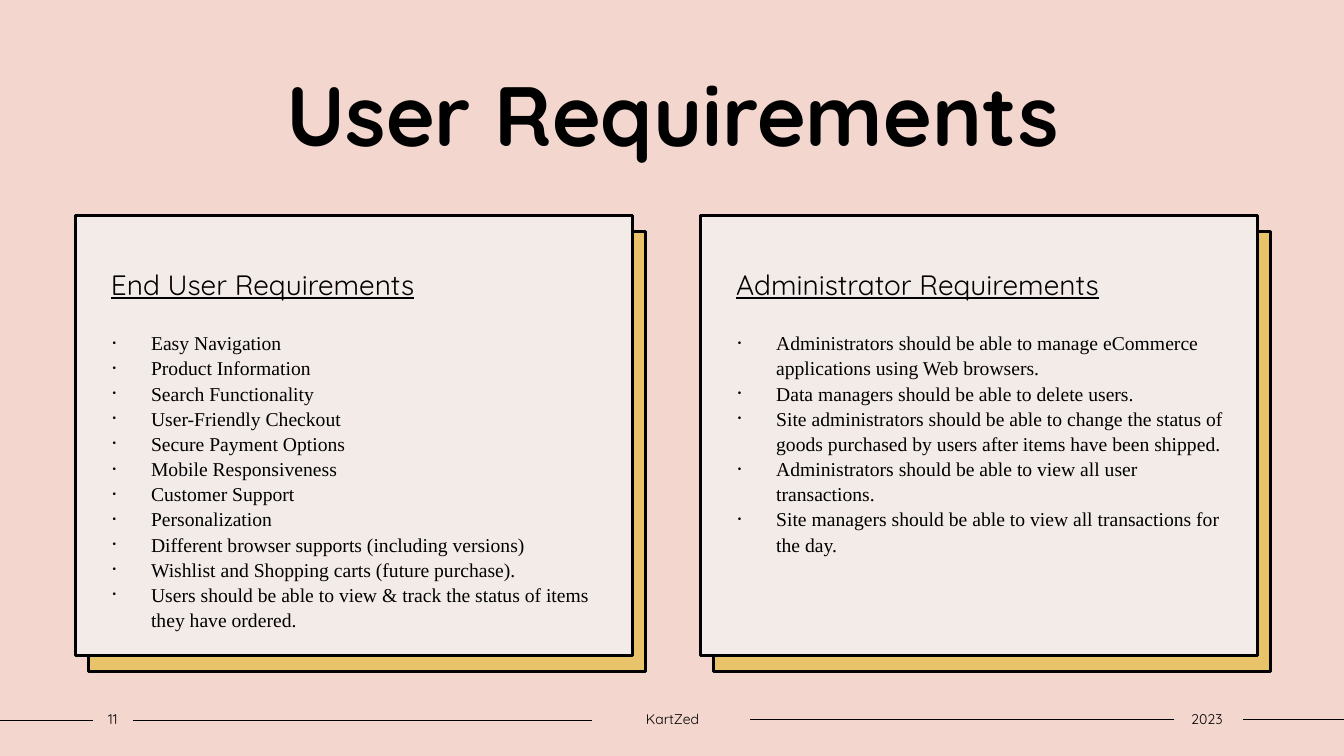
from lxml.etree import SubElement
from pptx import Presentation
from pptx.dml.color import RGBColor
from pptx.enum.shapes import MSO_CONNECTOR, MSO_SHAPE
from pptx.enum.text import MSO_ANCHOR, PP_ALIGN
from pptx.oxml.ns import qn
from pptx.util import Inches, Pt

PINK = RGBColor(0xF3, 0xD6, 0xCD)
CREAM = RGBColor(0xF3, 0xEB, 0xE8)
GOLD = RGBColor(0xE9, 0xC3, 0x69)
BLACK = RGBColor(0, 0, 0)

HEADING_FONT = "Quicksand"
BODY_FONT = "Times New Roman"

CARD_TOP, CARD_WIDTH, CARD_HEIGHT = 2.14, 5.52, 4.36
CARDS = [
    (0.75, "End User Requirements", [
        "Easy Navigation",
        "Product Information",
        "Search Functionality",
        "User-Friendly Checkout",
        "Secure Payment Options",
        "Mobile Responsiveness",
        "Customer Support",
        "Personalization",
        "Different browser supports (including versions)",
        "Wishlist and Shopping carts (future purchase).",
        "Users should be able to view & track the status of items they have ordered.",
    ]),
    (6.95, "Administrator Requirements", [
        "Administrators should be able to manage eCommerce applications using Web browsers.",
        "Data managers should be able to delete users.",
        "Site administrators should be able to change the status of goods purchased "
        "by users after items have been shipped.",
        "Administrators should be able to view all user transactions.",
        "Site managers should be able to view all transactions for the day.",
    ]),
]
FOOTER_RULES = [(0, 0.92, 0.15), (1.32, 5.87, 0.15), (7.44, 11.64, 0.14), (12.33, 13.33, 0.14)]
FOOTER_LABELS = [("11", 0.92, 0.4), ("KartZed", 5.87, 1.6), ("2023", 11.62, 0.7)]


def set_attributes(target, values):
    """Set every attribute in a dict of format values."""
    for name, value in values.items():
        setattr(target, name, value)


def write(paragraph, text, font_name, size, **extra):
    """Put black text in a paragraph."""
    run = paragraph.add_run()
    run.text = text
    set_attributes(run.font, {"name": font_name, "size": Pt(size), **extra})
    run.font.color.rgb = BLACK


def add_text_frame(slide, left, top, width, height, **values):
    """Add a wrapping text box and return its frame."""
    box = slide.shapes.add_textbox(Inches(left), Inches(top), Inches(width), Inches(height))
    set_attributes(box.text_frame, {"word_wrap": True, **values})
    return box.text_frame


def add_panel(slide, left, top, width, height, fill):
    """Add a filled rectangle with a black outline."""
    panel = slide.shapes.add_shape(
        MSO_SHAPE.RECTANGLE, Inches(left), Inches(top), Inches(width), Inches(height))
    panel.shadow.inherit = False
    panel.fill.solid()
    panel.fill.fore_color.rgb = fill
    panel.line.color.rgb = BLACK
    panel.line.width = Pt(2)
    return panel


def add_bullet(paragraph):
    """Give a paragraph a small hanging bullet and a tab stop."""
    properties = paragraph._p.get_or_add_pPr()
    properties.set("marL", str(Inches(0.38)))
    properties.set("indent", str(-Inches(0.38)))
    SubElement(properties, qn("a:buSzPct"), val="50000")
    SubElement(properties, qn("a:buFont"), typeface="Arial")
    SubElement(properties, qn("a:buChar"), char="•")
    tabs = SubElement(properties, qn("a:tabLst"))
    SubElement(tabs, qn("a:tab"), pos=str(Inches(0.79)), algn="l")


def add_title(slide, left, top, width, height):
    """Add the centred slide title."""
    frame = add_text_frame(slide, left, top, width, height, vertical_anchor=MSO_ANCHOR.MIDDLE)
    title = frame.paragraphs[0]
    title.alignment = PP_ALIGN.CENTER
    write(title, "User Requirements", HEADING_FONT, 60, bold=True)


def add_card(slide, left, top, width, height, heading, requirements):
    """Add a card with its gold backing, heading and bulleted requirements."""
    add_panel(slide, left + 0.13, top + 0.16, width, height, GOLD)
    frame = add_panel(slide, left, top, width, height, CREAM).text_frame
    set_attributes(frame, {
        "word_wrap": True, "vertical_anchor": MSO_ANCHOR.TOP,
        "margin_left": Inches(0.35), "margin_top": Inches(0.55),
        "margin_right": Inches(0.1), "margin_bottom": Inches(0.05)})
    set_attributes(frame.paragraphs[0], {"alignment": PP_ALIGN.LEFT, "line_spacing": 0.9})
    write(frame.paragraphs[0], heading, HEADING_FONT, 20, underline=True)

    listing = add_text_frame(slide, left + 0.27, top + 1.08, width - 0.48, height - 1.31)
    for index, requirement in enumerate(requirements):
        item = listing.add_paragraph() if index else listing.paragraphs[0]
        add_bullet(item)
        item.line_spacing = 1.07
        write(item, requirement, BODY_FONT, 14)
    item.space_after = Pt(8)


def add_footer(slide, top, height):
    """Add the footer rules and the labels between them."""
    for start, end, drop in FOOTER_RULES:
        y = Inches(top + drop)
        rule = slide.shapes.add_connector(
            MSO_CONNECTOR.STRAIGHT, Inches(start), y, Inches(end), y)
        rule.line.color.rgb = BLACK
        rule.line.width = Pt(1)
        SubElement(rule._element.spPr, qn("a:effectLst"))
    for text, left, width in FOOTER_LABELS:
        frame = add_text_frame(slide, left, top, width, height, margin_left=0,
                               margin_right=0, vertical_anchor=MSO_ANCHOR.MIDDLE)
        label = frame.paragraphs[0]
        label.alignment = PP_ALIGN.CENTER
        write(label, text, HEADING_FONT, 10)


def main():
    """Build and save the user requirements slide."""
    deck = Presentation()
    set_attributes(deck, {"slide_width": Inches(13.33), "slide_height": Inches(7.5)})
    slide = deck.slides.add_slide(deck.slide_layouts[6])
    slide.background.fill.solid()
    slide.background.fill.fore_color.rgb = PINK
    add_title(slide, 1.25, 0.56, 10.84, 1.11)
    for left, heading, requirements in CARDS:
        add_card(slide, left, CARD_TOP, CARD_WIDTH, CARD_HEIGHT, heading, requirements)
    add_footer(slide, 7, 0.27)
    deck.save("out.pptx")


if __name__ == "__main__":
    main()
